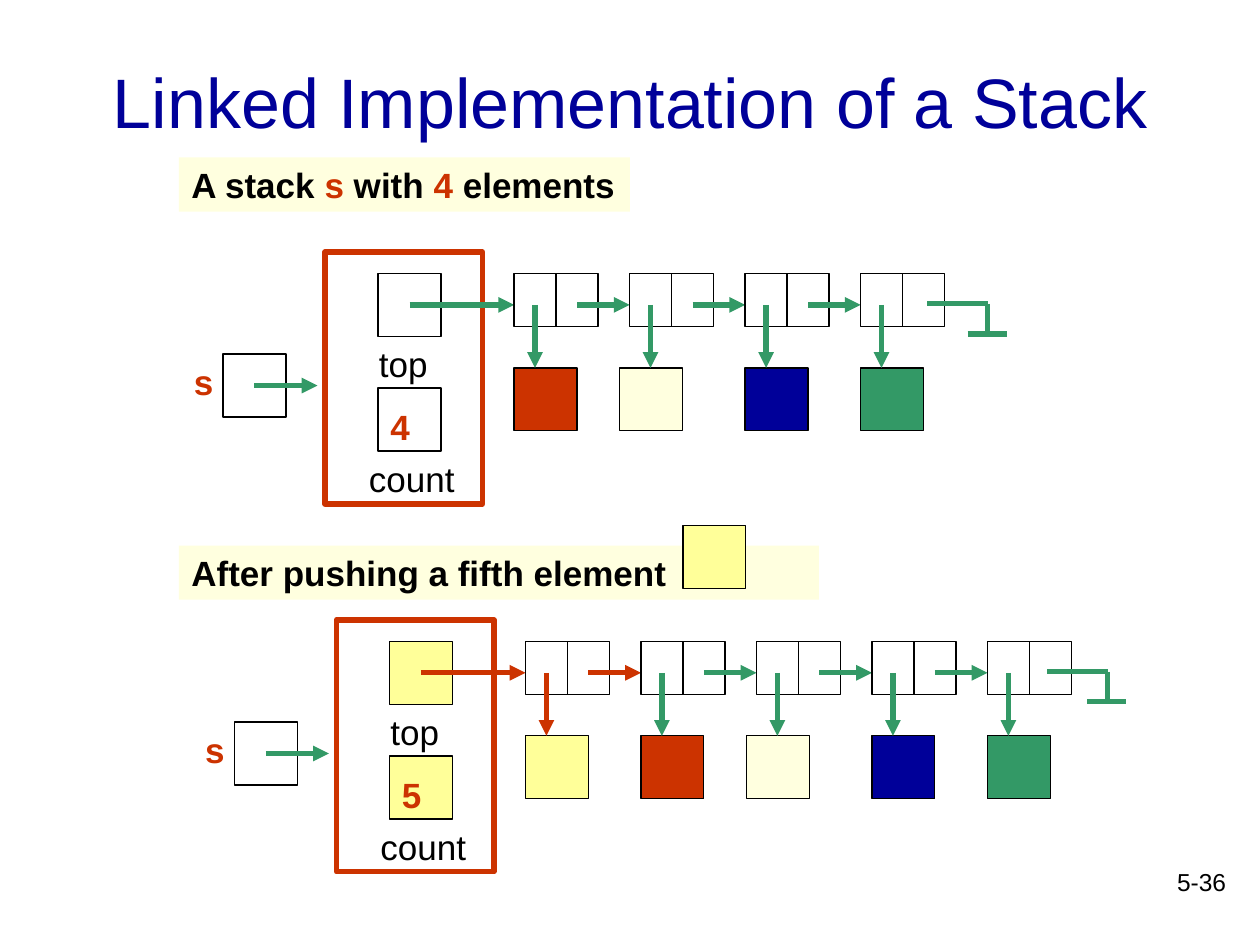
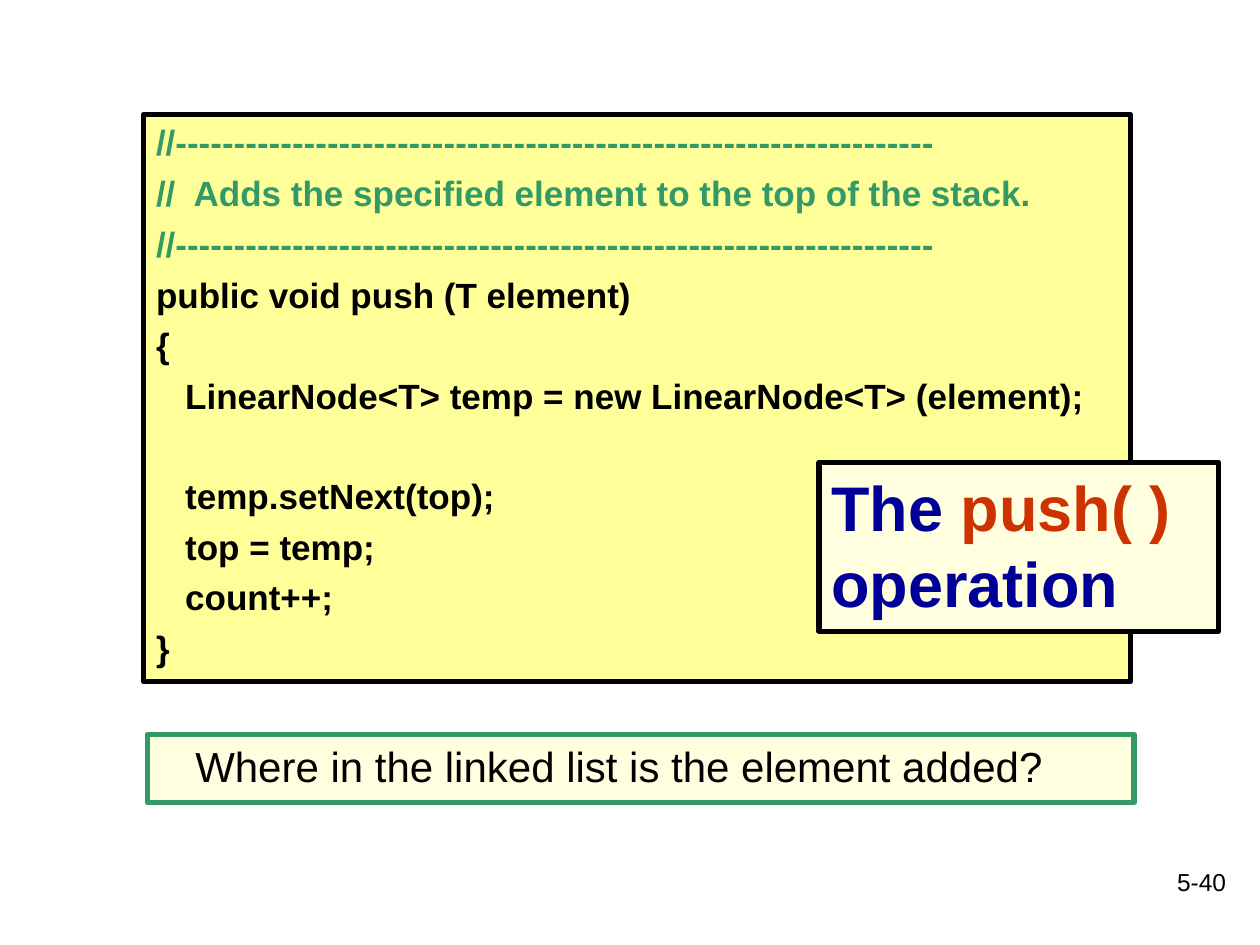
import pptx
import pptx.util
import pptx.dml.color
import pptx.enum.shapes
import pptx.enum.text
import pptx.oxml.ns
from lxml import etree

Inches = pptx.util.Inches
Pt = pptx.util.Pt
ALIGN = pptx.enum.text.PP_ALIGN
ANCHOR = pptx.enum.text.MSO_ANCHOR
HUES = {"black": "000000", "navy": "000099", "red": "CC3300",
        "green": "339966", "cream": "FFFFDF", "yellow": "FFFF99"}
FONT = "Arial"
STEP = 11 / 12
CELL = 1 / 3


def hue(name):
    return pptx.dml.color.RGBColor.from_string(HUES[name])


class Deck:
    def __init__(self):
        self.show = pptx.Presentation()
        self.show.slide_width = Inches(10)
        self.show.slide_height = Inches(7.5)
        self.slide = None

    def page(self, number):
        self.slide = self.show.slides.add_slide(self.show.slide_layouts[6])
        self.text(7.75, 6.83, 2.08, 0.5, [[(number, "black")]], 14, align=ALIGN.RIGHT)

    def title(self, words):
        frame = self.text(0.75, 0.17, 8.5, 1.25, [[(words, "navy")]], 40, align=ALIGN.CENTER)
        frame.vertical_anchor = ANCHOR.MIDDLE

    def put(self, frame, lines, size, bold=False, align=ALIGN.LEFT):
        frame.word_wrap = True
        frame.vertical_anchor = ANCHOR.TOP
        for i, line in enumerate(lines):
            para = frame.paragraphs[0] if i == 0 else frame.add_paragraph()
            para.alignment = align
            for words, color in line:
                run = para.add_run()
                run.text = words
                run.font.name = FONT
                run.font.size = Pt(size)
                run.font.bold = bold
                run.font.color.rgb = hue(color)
        return frame

    def text(self, x, y, w, h, lines, size=20, **style):
        box = self.slide.shapes.add_textbox(Inches(x), Inches(y), Inches(w), Inches(h))
        return self.put(box.text_frame, lines, size, **style)

    def rect(self, x, y, w, h, fill=None, line="black", width=0.75):
        kind = pptx.enum.shapes.MSO_SHAPE.RECTANGLE
        box = self.slide.shapes.add_shape(kind, Inches(x), Inches(y), Inches(w), Inches(h))
        box.shadow.inherit = False
        if fill:
            box.fill.solid()
            box.fill.fore_color.rgb = hue(fill)
        else:
            box.fill.background()
        if line:
            box.line.color.rgb = hue(line)
            box.line.width = Pt(width)
        else:
            box.line.fill.background()
        return box.text_frame

    def line(self, x, y, dx, dy, color="green", head=True):
        kind = pptx.enum.shapes.MSO_CONNECTOR.STRAIGHT
        link = self.slide.shapes.add_connector(
            kind, Inches(x), Inches(y), Inches(x + dx), Inches(y + dy))
        link.line.color.rgb = hue(color)
        link.line.width = Pt(3)
        qn = pptx.oxml.ns.qn
        props = link.element.spPr
        if head:
            etree.SubElement(props.find(qn("a:ln")), qn("a:tailEnd"), type="triangle")
        etree.SubElement(props, qn("a:effectLst"))

    def banner(self, y, w, runs):
        self.put(self.rect(1.42, y, w, 0.43, "cream", None), [runs], 20, bold=True)

    def square(self, x, y, fill=None):
        self.rect(x, y, 0.5, 0.5, fill)

    def ground(self, x, y):
        self.line(x, y, 0.48, 0, head=False)
        self.line(x + 0.48, y, 0, 0.24, head=False)
        self.line(x + 0.32, y + 0.24, 0.31, 0, head=False)

    def stack(self, x, y, items, end, fresh=False):
        fill, first = ("yellow", "red") if fresh else (None, "green")
        mid = y + 0.42
        self.square(x + 0.42, y + 0.17, fill)
        self.square(x + 0.42, y + 1.08, fill)
        self.text(x + 0.33, y + 0.67, 0.83, 0.43, [[("top", "black")]])
        self.text(x + 0.25, y + 1.58, 0.92, 0.43, [[("count", "black")]])
        self.text(x + 0.42, y + 1.17, 0.39, 0.43, [[(str(len(items)), "red")]], bold=True)
        self.rect(x, y, 1.25, 2, None, "red", 3)
        self.text(x - 1.14, y + 0.81, 0.5, 0.43, [[("s", "red")]], bold=True)
        self.square(x - 0.81, y + 0.81)
        self.line(x - 0.56, y + 1.06, 0.5, 0)
        self.line(x + 0.67, mid, 0.83, 0, first)
        for i, item in enumerate(items):
            node = x + 1.5 + i * STEP
            tint = first if i == 0 else "green"
            for left in (node, node + CELL):
                self.rect(left, y + 0.17, CELL, 0.42)
            shift = 0.08 if item == "cream" else 0
            self.square(node - shift, y + 0.92, item)
            self.line(node + CELL / 2, mid, 0, 0.5, tint)
            if i < len(items) - 1:
                self.line(node + 0.5, mid, STEP - 0.5, 0, tint)
        self.ground(end, y + 0.41)


def link_page(deck):
    deck.page("5-36")
    deck.title("Linked Implementation of a Stack")
    items = ["red", "cream", "navy", "green"]
    deck.banner(1.25, 3.58, [("A stack ", "black"), ("s", "red"), (" with ", "black"),
                             ("4", "red"), (" elements", "black")])
    deck.stack(2.58, 2, items, 7.36)
    deck.banner(4.33, 5.08, [("After pushing a fifth element", "black")])
    deck.square(5.42, 4.17, "yellow")
    deck.stack(2.67, 4.92, ["yellow"] + items, 8.31, True)


def push_page(deck):
    deck.page("5-40")
    rule = "//" + "-" * 65
    notes = [rule, "//  Adds the specified element to the top of the stack.", rule]
    code = ["public void push (T element)", "{",
            "   LinearNode<T> temp = new LinearNode<T> (element);",
            "   temp.setNext(top);", "   top = temp;", "   count++;", "}"]
    lines = [[(row, "green")] for row in notes] + [[(row, "black")] for row in code]
    frame = deck.put(deck.rect(1.14, 0.91, 7.83, 4.5, "yellow", width=3),
                     lines, 20, bold=True)
    for para in frame.paragraphs[1:]:
        para.space_before = Pt(33 if "setNext" in para.text else 5)
    ask = deck.put(deck.rect(1.17, 5.83, 7.83, 0.54, "cream", "green", 3),
                   [[("Where in the linked list is the element added?", "black")]], 24)
    ask.margin_left = Inches(0.38)
    deck.put(deck.rect(6.5, 3.67, 3.17, 1.34, "cream", width=3),
             [[("The ", "navy"), ("push( ) ", "red"), ("operation", "navy")]],
             36, bold=True)


def main():
    deck = Deck()
    link_page(deck)
    push_page(deck)
    deck.show.save("out.pptx")


if __name__ == "__main__":
    main()
